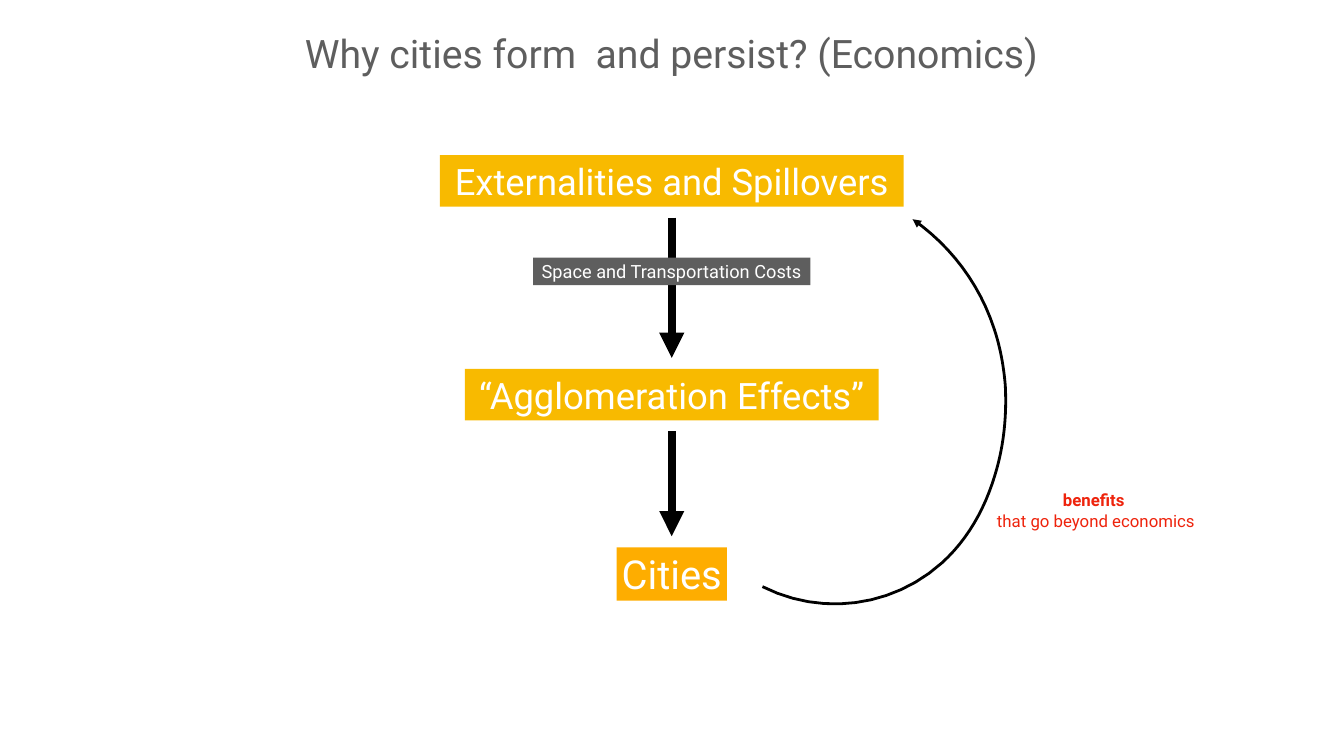
from lxml.etree import SubElement
from pptx import Presentation
from pptx.dml.color import RGBColor
from pptx.enum.shapes import MSO_CONNECTOR as Connector, MSO_SHAPE as Shape
from pptx.enum.text import MSO_ANCHOR as Anchor, MSO_AUTO_SIZE as AutoSize, PP_ALIGN as Align
from pptx.oxml.ns import qn
from pptx.util import Inches, Pt

FONT = "Roboto"
BLACK, WHITE, GREY, RED = "000000", "FFFFFF", "5E5E5E", "EE230C"
AMBER, ORANGE = "F8BA00", "FEAD00"
CENTER = 13.33

TITLE = "Why cities form  and persist? (Economics)"
# text, top, width, height, fill, size, inset
STAGES = [
    ("Externalities and Spillovers", 3.08, 9.2, 1.02, AMBER, 52, 0.08),
    ("“Agglomeration Effects”", 7.32, 8.21, 1.02, AMBER, 52, 0.08),
    ("Cities", 10.86, 2.19, 1.06, ORANGE, 57, 0.06),
]
COSTS = ("Space and Transportation Costs", 5.11, 5.5, 0.55, GREY, 26, 0.06)
BENEFITS = [("benefits ", True), ("that go beyond economics", False)]
ARROW_GAP = 0.22

# Feedback arc from Cities back to Externalities: start, then Bézier segments
ARC_START = (15.13, 11.64)
ARC_SEGMENTS = [
    ((16.3, 12.23), (17.71, 12.05), (18.69, 11.17)),
    ((19.2, 10.71), (19.54, 10.1), (19.74, 9.44)),
    ((19.92, 8.86), (19.98, 8.26), (19.95, 7.66)),
    ((19.92, 7.28), (19.85, 6.89), (19.73, 6.53)),
    ((19.44, 5.64), (18.87, 4.88), (18.11, 4.35)),
]
ARC_STEPS = 12


def color(hex_value):
    return RGBColor.from_string(hex_value)


def place(shape, left, top, width, height):
    shape.left, shape.top = Inches(left), Inches(top)
    shape.width, shape.height = Inches(width), Inches(height)


def write(shape, lines, size, text_color, inset=0.06):
    """Fill a shape with centred lines, each a (text, bold) pair."""
    frame = shape.text_frame
    frame.word_wrap = False
    frame.auto_size = AutoSize.SHAPE_TO_FIT_TEXT
    frame.vertical_anchor = Anchor.MIDDLE
    frame.margin_left = frame.margin_right = Inches(inset)
    frame.margin_top = frame.margin_bottom = Inches(inset)
    for index, (text, bold) in enumerate(lines):
        paragraph = frame.add_paragraph() if index else frame.paragraphs[0]
        paragraph.alignment = Align.CENTER
        paragraph.line_spacing = 1.0
        paragraph.space_before = Pt(0)
        run = paragraph.add_run()
        run.text = text
        run.font.name, run.font.size, run.font.bold = FONT, Pt(size), bold
        run.font.color.rgb = color(text_color)


def add_box(slide, text, top, width, height, fill, size, inset):
    box = slide.shapes.add_shape(Shape.RECTANGLE, 0, 0, 0, 0)
    place(box, CENTER - width / 2, top, width, height)
    box.shadow.inherit = False
    box.fill.solid()
    box.fill.fore_color.rgb = color(fill)
    box.line.fill.background()
    write(box, [(text, False)], size, WHITE, inset)


def style_arrow(shape, width):
    shape.line.color.rgb = color(BLACK)
    shape.line.width = Pt(width)
    SubElement(shape.line._get_or_add_ln(), qn("a:tailEnd"), type="triangle")


def add_down_arrow(slide, top, bottom):
    arrow = slide.shapes.add_connector(
        Connector.STRAIGHT, Inches(CENTER), Inches(top), Inches(CENTER), Inches(bottom))
    style_arrow(arrow, 12)
    SubElement(arrow._element.spPr, qn("a:effectLst"))


def curve_points(start, segments):
    """Sample a chain of cubic Bézier segments, leaving out the start."""
    for first, second, end in segments:
        for step in range(1, ARC_STEPS + 1):
            t = step / ARC_STEPS
            u = 1 - t
            yield tuple(
                Inches(u**3 * a + 3 * u * u * t * b + 3 * u * t * t * c + t**3 * d)
                for a, b, c, d in zip(start, first, second, end))
        start = end


def add_arc(slide):
    builder = slide.shapes.build_freeform(*(Inches(value) for value in ARC_START))
    builder.add_line_segments(list(curve_points(ARC_START, ARC_SEGMENTS)), close=False)
    arc = builder.convert_to_shape()
    arc.fill.background()
    arc.shadow.inherit = False
    style_arrow(arc, 4)


def main():
    presentation = Presentation()
    presentation.slide_width, presentation.slide_height = Inches(26.67), Inches(15)
    slide = presentation.slides.add_slide(presentation.slide_layouts[5])

    title = slide.shapes.title
    place(title, 5.97, 0.54, 14.72, 1.02)
    write(title, [(TITLE, False)], 56, GREY)

    for stage in STAGES:
        add_box(slide, *stage)
    for upper, lower in zip(STAGES, STAGES[1:]):
        add_down_arrow(slide, upper[1] + upper[3] + ARROW_GAP, lower[1] - ARROW_GAP)
    add_box(slide, *COSTS)
    add_arc(slide)

    benefits = slide.shapes.add_textbox(0, 0, 0, 0)
    place(benefits, 19.69, 9.67, 4.11, 0.91)
    write(benefits, BENEFITS, 24, RED)

    presentation.save("out.pptx")


if __name__ == "__main__":
    main()
